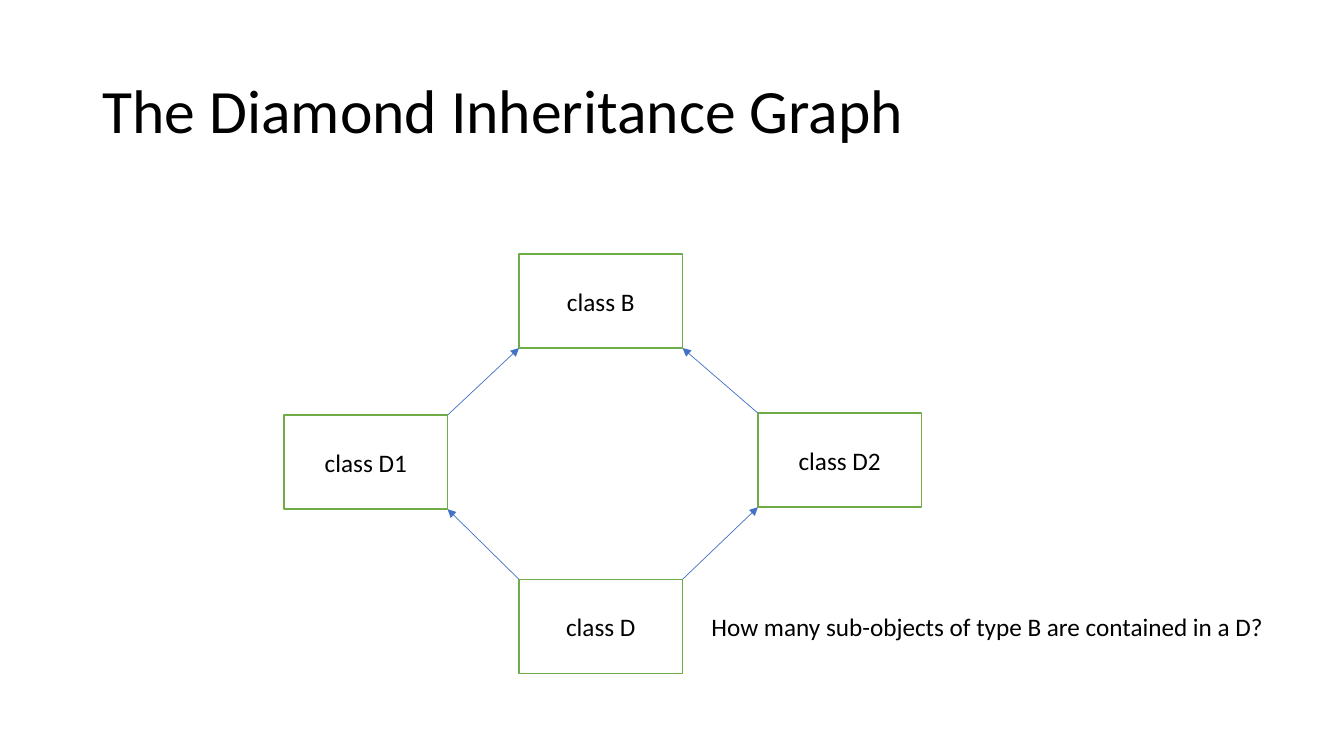
import pptx
import pptx.dml.color
import pptx.enum.shapes
import pptx.enum.text
import pptx.oxml
import pptx.oxml.ns
import pptx.util
from pptx.util import Cm

COLOURS = {"text": "000000", "box": "FFFFFF", "border": "70AD47", "arrow": "4472C4"}
ANCHOR = pptx.enum.text.MSO_ANCHOR
ALIGN = pptx.enum.text.PP_ALIGN


def colour(name):
    return pptx.dml.color.RGBColor.from_string(COLOURS[name])


def apply(target, values):
    for attribute, value in values.items():
        setattr(target, attribute, value)


class DiagramSlide:
    font = "Calibri"
    body_size = 18

    def __init__(self, deck):
        self.slide = deck.slides.add_slide(deck.slide_layouts[5])

    def set_wording(self, shape, wording, size, frame_format, paragraph_format):
        frame = shape.text_frame
        frame.text = wording
        apply(frame, frame_format)
        paragraph = frame.paragraphs[0]
        apply(paragraph, paragraph_format)
        run = paragraph.runs[0]
        apply(run.font, {"name": self.font, "size": pptx.util.Pt(size)})
        run.font.color.rgb = colour("text")

    def title(self, wording, left, top, width, height):
        heading = self.slide.shapes.title
        apply(heading, {"left": Cm(left), "top": Cm(top),
                        "width": Cm(width), "height": Cm(height)})
        self.set_wording(heading, wording, 44,
                         {"vertical_anchor": ANCHOR.MIDDLE, "word_wrap": True},
                         {"alignment": ALIGN.LEFT, "line_spacing": 0.9})

    def class_box(self, wording, left, top, width, height):
        box = self.slide.shapes.add_shape(
            pptx.enum.shapes.MSO_SHAPE.RECTANGLE,
            Cm(left), Cm(top), Cm(width), Cm(height))
        box.shadow.inherit = False
        box.fill.solid()
        box.fill.fore_color.rgb = colour("box")
        box.line.color.rgb = colour("border")
        box.line.width = pptx.util.Pt(1)
        self.set_wording(box, wording, self.body_size,
                         {"vertical_anchor": ANCHOR.MIDDLE, "word_wrap": True},
                         {"alignment": ALIGN.CENTER})

    def arrow(self, start, end):
        link = self.slide.shapes.add_connector(
            pptx.enum.shapes.MSO_CONNECTOR.STRAIGHT,
            *(Cm(value) for value in start + end))
        link.line.color.rgb = colour("arrow")
        link.line.width = pptx.util.Pt(0.5)
        namespace = pptx.oxml.ns.nsdecls("a")
        properties = link._element.spPr
        properties.find(pptx.oxml.ns.qn("a:ln")).append(
            pptx.oxml.parse_xml(f'<a:tailEnd {namespace} type="triangle"/>'))
        properties.append(pptx.oxml.parse_xml(f"<a:effectLst {namespace}/>"))

    def question(self, wording, left, top, width, height):
        note = self.slide.shapes.add_textbox(
            Cm(left), Cm(top), Cm(width), Cm(height))
        self.set_wording(note, wording, self.body_size,
                         {"word_wrap": False,
                          "auto_size": pptx.enum.text.MSO_AUTO_SIZE.SHAPE_TO_FIT_TEXT},
                         {"alignment": ALIGN.LEFT})


def main():
    deck = pptx.Presentation()
    apply(deck, {"slide_width": Cm(33.87), "slide_height": Cm(19.05)})
    diagram = DiagramSlide(deck)
    diagram.title("The Diamond Inheritance Graph", 2.33, 1.01, 29.21, 3.68)

    box_width, box_height = 4.12, 2.37
    classes = {"B": (13.08, 6.4), "D2": (19.1, 10.41),
               "D1": (7.16, 10.46), "D": (13.08, 14.6)}
    for name, (left, top) in classes.items():
        diagram.class_box(f"class {name}", left, top, box_width, box_height)

    def corner(name, right, bottom):
        left, top = classes[name]
        return left + right * box_width, top + bottom * box_height

    inheritance = [("D1", "B", 1), ("D2", "B", 0), ("D", "D1", 0), ("D", "D2", 1)]
    for derived, base, right in inheritance:
        diagram.arrow(corner(derived, right, 0), corner(base, 1 - right, 1))

    diagram.question("How many sub-objects of type B are contained in a D?",
                     17.68, 15.27, 14.58, 1.03)
    deck.save("out.pptx")


if __name__ == "__main__":
    main()
